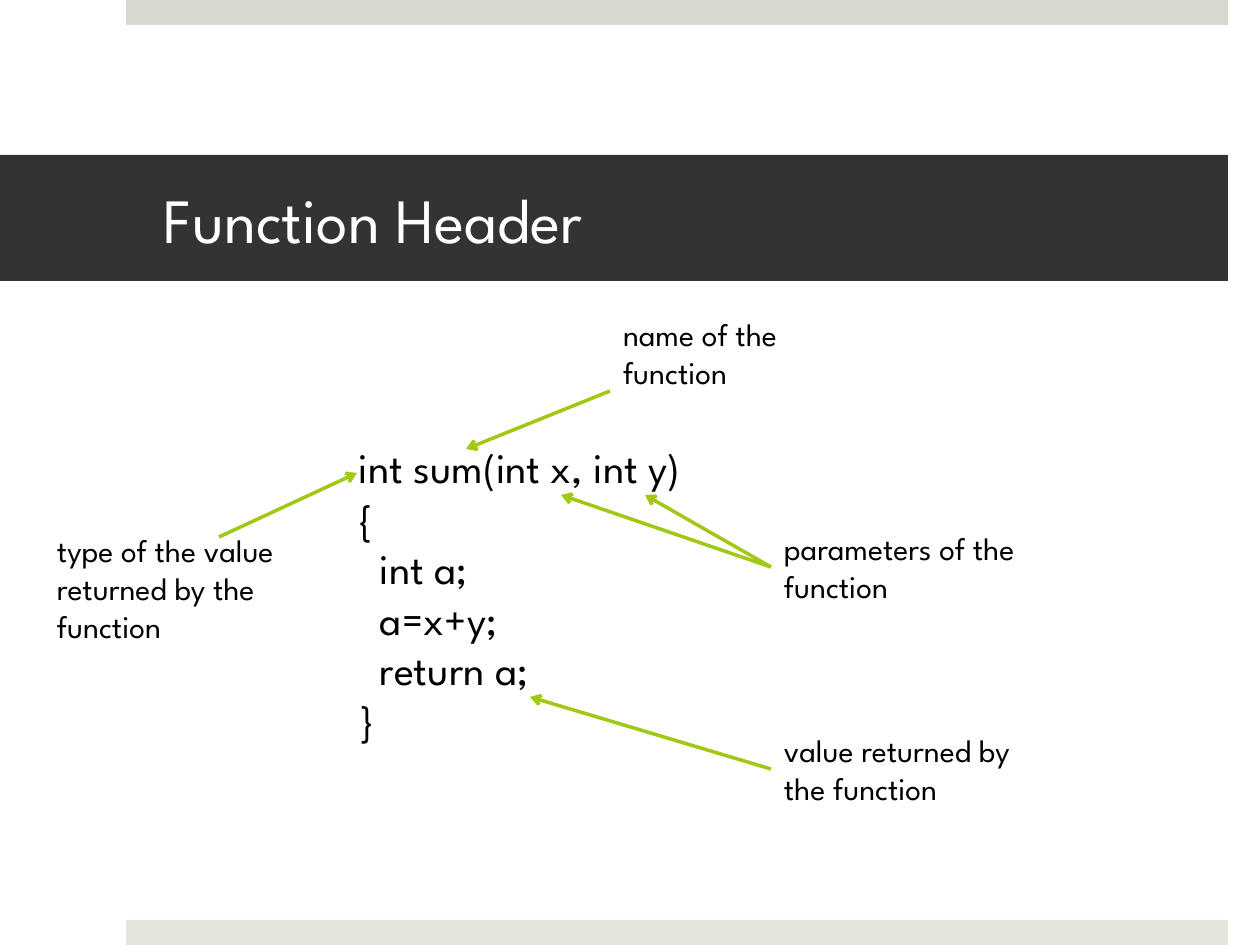
from dataclasses import dataclass

from lxml import etree
from pptx import Presentation
from pptx.dml.color import RGBColor
from pptx.enum.shapes import MSO_CONNECTOR, MSO_SHAPE
from pptx.enum.text import MSO_ANCHOR, MSO_AUTO_SIZE, PP_ALIGN
from pptx.oxml.ns import qn
from pptx.util import Emu, Pt

RECTANGLE = MSO_SHAPE.RECTANGLE
STRAIGHT = MSO_CONNECTOR.STRAIGHT
MIDDLE, TOP = MSO_ANCHOR.MIDDLE, MSO_ANCHOR.TOP
GROW, FIXED = MSO_AUTO_SIZE.SHAPE_TO_FIT_TEXT, MSO_AUTO_SIZE.NONE
LEFT = PP_ALIGN.LEFT

EMU_PER_PIXEL = 914400 / 126
FONT = "League Spartan"
COLORS = {
    "top bar": "D6D9CD",
    "bottom bar": "E4E6DE",
    "title band": "333333",
    "title": "FFFFFF",
    "text": "000000",
    "arrow": "A2C816",
}
CODE_INDENT = 21
CALLOUT_WIDTH = 257


@dataclass(frozen=True)
class Bar:
    """A filled rectangle; lengths in pixels."""
    color: str
    left: int
    top: int
    width: int
    height: int


@dataclass(frozen=True)
class Callout:
    """An explanation and the arrows that run from one start to its targets."""
    text: str
    left: int
    top: int
    height: int
    start: tuple[int, int]
    targets: tuple[tuple[int, int], ...]


@dataclass(frozen=True)
class CodeLine:
    """One line of code and its nesting level."""
    text: str
    level: int = 0


TOP_BAR = Bar("top bar", 126, 0, 1102, 25)
BOTTOM_BAR = Bar("bottom bar", 126, 920, 1102, 25)
TITLE_BAND = Bar("title band", 0, 155, 1228, 126)
CODE = (
    CodeLine("int sum(int x, int y)"),
    CodeLine("{"),
    CodeLine("int a;", 1),
    CodeLine("a=x+y;", 1),
    CodeLine("return a;", 1),
    CodeLine("}"),
)
CALLOUTS = (
    Callout("type of the value returned by the function", 44, 525, 127,
            (219, 537), ((357, 473),)),
    Callout("name of the function", 610, 309, 89, (610, 391), ((466, 449),)),
    Callout("parameters of the function", 771, 523, 89,
            (771, 567), ((645, 495), (561, 495))),
    Callout("value returned by the function", 771, 725, 89,
            (771, 769), ((530, 697),)),
)


def px(*lengths: int) -> list[Emu]:
    """Turn pixels into EMU."""
    return [Emu(round(length * EMU_PER_PIXEL)) for length in lengths]


def rgb(name: str) -> RGBColor:
    """Look up a named colour."""
    return RGBColor.from_string(COLORS[name])


def set_all(target, values: dict) -> None:
    """Set every attribute in a dict of format values."""
    for name, value in values.items():
        setattr(target, name, value)


def add_bar(page, bar: Bar):
    """Draw a filled rectangle without outline or shadow."""
    shape = page.shapes.add_shape(
        RECTANGLE, *px(bar.left, bar.top, bar.width, bar.height))
    shape.shadow.inherit = False
    shape.fill.solid()
    shape.fill.fore_color.rgb = rgb(bar.color)
    shape.line.fill.background()
    return shape


def format_frame(frame, left: int, right: int, anchor, auto_size) -> None:
    """Set insets, anchor, wrapping and fitting of a text frame."""
    inset_left, inset_right, inset_edge = px(left, right, 6)
    set_all(frame, {
        "margin_left": inset_left, "margin_right": inset_right,
        "margin_top": inset_edge, "margin_bottom": inset_edge,
        "vertical_anchor": anchor, "word_wrap": True, "auto_size": auto_size,
    })


def write(para, text: str, size: int, color: str) -> None:
    """Write one left-aligned span of text into a paragraph."""
    para.alignment = LEFT
    span = para.add_run()
    span.text = text
    set_all(span.font, {"name": FONT, "size": Pt(size)})
    span.font.color.rgb = rgb(color)


def add_title(page, text: str) -> None:
    """Draw the dark band with the slide title."""
    frame = add_bar(page, TITLE_BAND).text_frame
    format_frame(frame, 164, 38, MIDDLE, FIXED)
    write(frame.paragraphs[0], text, 36, "title")


def add_code(page, lines: tuple[CodeLine, ...]) -> None:
    """Write the code listing, one paragraph a line."""
    frame = page.shapes.add_textbox(*px(338, 436, 406, 318)).text_frame
    format_frame(frame, 21, 13, TOP, GROW)
    for index, line in enumerate(lines):
        para = frame.add_paragraph() if index else frame.paragraphs[0]
        write(para, line.text, 24, "text")
        indent, = px(line.level * CODE_INDENT)
        para._p.get_or_add_pPr().set("marL", str(int(indent)))


def add_arrow(page, start: tuple[int, int], target: tuple[int, int]) -> None:
    """Draw a straight line with an open arrowhead at its target."""
    arrow = page.shapes.add_connector(STRAIGHT, *px(*start, *target))
    arrow.line.width = Pt(2)
    arrow.line.color.rgb = rgb("arrow")
    etree.SubElement(arrow.line._get_or_add_ln(), qn("a:tailEnd"), type="arrow")
    etree.SubElement(arrow._element.spPr, qn("a:effectLst"))


def add_callout(page, callout: Callout) -> None:
    """Draw the arrows of a callout and write its text."""
    for target in callout.targets:
        add_arrow(page, callout.start, target)
    box = page.shapes.add_textbox(
        *px(callout.left, callout.top, CALLOUT_WIDTH, callout.height))
    format_frame(box.text_frame, 13, 13, TOP, GROW)
    write(box.text_frame.paragraphs[0], callout.text, 18, "text")


def main() -> None:
    """Build and save the deck."""
    deck = Presentation()
    deck.slide_width, deck.slide_height = px(1260, 945)
    page = deck.slides.add_slide(deck.slide_layouts[6])
    for bar in (TOP_BAR, BOTTOM_BAR):
        add_bar(page, bar)
    add_title(page, "Function Header")
    add_code(page, CODE)
    for callout in CALLOUTS:
        add_callout(page, callout)
    deck.save("out.pptx")


main()
